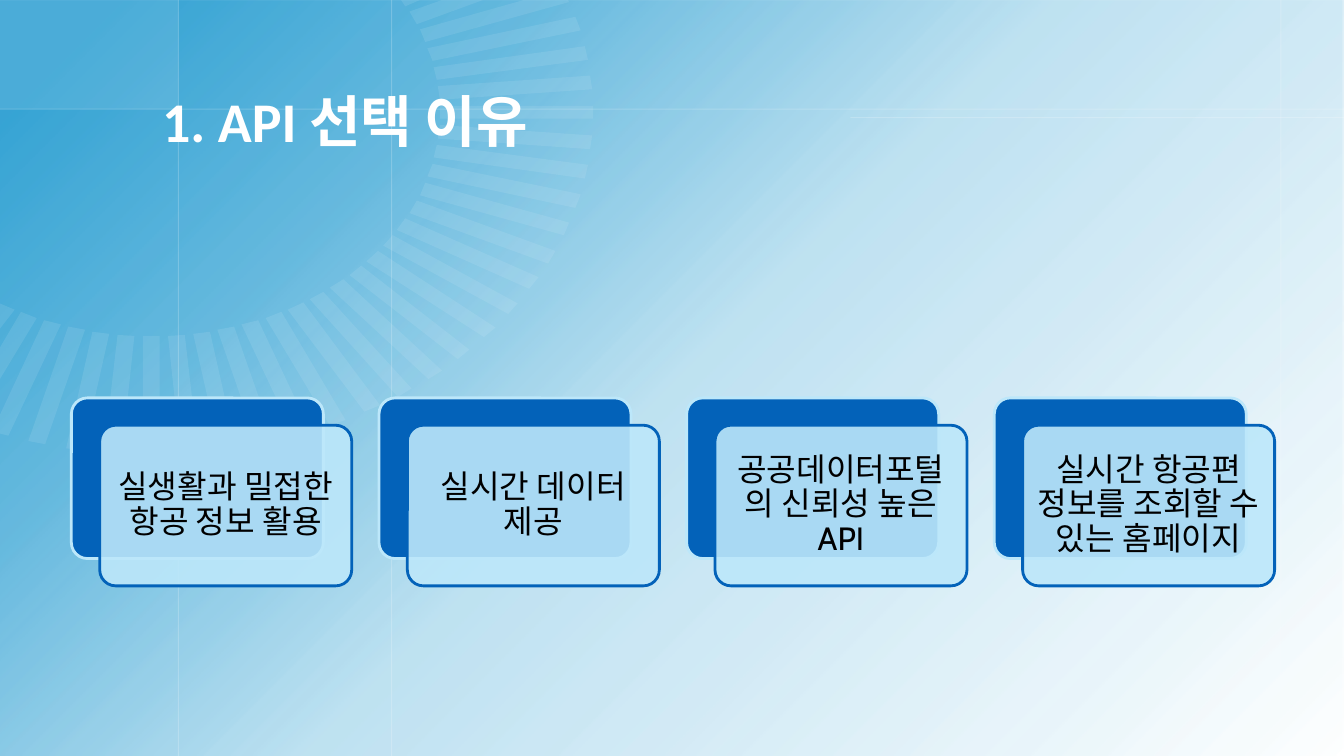
from math import cos, radians, sin

from lxml.etree import SubElement
from pptx import Presentation
from pptx.dml.color import RGBColor
from pptx.enum.shapes import MSO_CONNECTOR, MSO_SHAPE
from pptx.enum.text import MSO_ANCHOR, PP_ALIGN
from pptx.oxml.ns import qn
from pptx.util import Pt

PX = 9525
WIDTH, HEIGHT = 1280, 720
WHITE = RGBColor(0xFF, 0xFF, 0xFF)
BLACK = RGBColor(0x00, 0x00, 0x00)
SKY = RGBColor(0x0F, 0x92, 0xCC)
RAY = RGBColor(0xF2, 0xFA, 0xFE)
BLUE = RGBColor(0x03, 0x62, 0xB9)
PALE = RGBColor(0xBC, 0xE7, 0xFA)

SKY_STOPS = [(6, 83), (26, 63), (50, 27), (100, 0)]
GUIDES = [
    (170, 0, 170, HEIGHT),
    (1220, 0, 1220, HEIGHT),
    (373, 0, 373, HEIGHT),
    (0, 104, WIDTH, 104),
    (810, 112, WIDTH, 112),
]
SUN_X, SUN_Y = 144, 107
SUN_RADIUS_X, SUN_RADIUS_Y = 275, 213
RAY_END, RAY_HALF = 1.53, 0.03
REASONS = [
    "실생활과 밀접한 항공 정보 활용",
    "실시간 데이터 제공",
    "공공데이터포털의 신뢰성 높은 API",
    "실시간 항공편 정보를 조회할 수 있는 홈페이지",
]
CARD_LEFT, CARD_TOP, CARD_STEP = 68, 379, 293
CARD_WIDTH, CARD_HEIGHT = 240, 153
SHIFT_X, SHIFT_Y = 27, 26


def clip(corners, axis):
    """Cut a polygon where its coordinate on the axis falls below zero."""
    kept = []
    for start, end in zip(corners, corners[1:] + corners[:1]):
        if start[axis] >= 0:
            kept.append(start)
        if (start[axis] >= 0) != (end[axis] >= 0):
            share = start[axis] / (start[axis] - end[axis])
            kept.append(tuple(a + share * (b - a) for a, b in zip(start, end)))
    return kept


def ray_corners(degrees):
    """Return the visible corners of one ray of the stretched sun."""
    across, down = cos(radians(degrees)), sin(radians(degrees))
    corners = [
        (
            SUN_X + SUN_RADIUS_X * (reach * across - side * down),
            SUN_Y + SUN_RADIUS_Y * (reach * down + side * across),
        )
        for reach, side in [
            (1, -RAY_HALF), (RAY_END, -RAY_HALF), (RAY_END, RAY_HALF), (1, RAY_HALF)
        ]
    ]
    return clip(clip(corners, 0), 1)


class SlideBuilder:
    """Draw the elements of the slide in one shared style."""

    def __init__(self, slide):
        """Keep the current slide."""
        self.slide = slide

    def fade(self, element, opacity):
        """Set the opacity percentage of the first colour of an element."""
        color = element._element.xpath("./p:spPr//a:srgbClr")[0]
        SubElement(color, qn("a:alpha"), val=str(opacity * 1000))

    def paint(self, shape, color, opacity=100):
        """Give a shape a flat fill without line or shadow."""
        shape.shadow.inherit = False
        shape.fill.solid()
        shape.fill.fore_color.rgb = color
        shape.line.fill.background()
        if opacity < 100:
            self.fade(shape, opacity)

    def block(self, left, top, width, height, color, opacity=100,
              kind=MSO_SHAPE.RECTANGLE):
        """Add a flat preset shape."""
        shape = self.slide.shapes.add_shape(
            kind, left * PX, top * PX, width * PX, height * PX)
        self.paint(shape, color, opacity)
        return shape

    def sky(self):
        """Cover the slide with the diagonal gradient."""
        backdrop = self.block(0, 0, WIDTH, HEIGHT, SKY)
        backdrop.fill.gradient()
        backdrop.fill.gradient_angle = 315
        stops = backdrop._element.xpath("./p:spPr/a:gradFill/a:gsLst")[0]
        stops.clear()
        for position, opacity in SKY_STOPS:
            stop = SubElement(stops, qn("a:gs"), pos=str(position * 1000))
            color = SubElement(stop, qn("a:srgbClr"), val=str(SKY))
            SubElement(color, qn("a:alpha"), val=str(opacity * 1000))

    def guide(self, *ends):
        """Add a thin translucent line."""
        guide = self.slide.shapes.add_connector(
            MSO_CONNECTOR.STRAIGHT, *(end * PX for end in ends))
        guide.line.color.rgb = WHITE
        guide.line.width = Pt(0.75)
        self.fade(guide, 20)
        SubElement(guide._element.spPr, qn("a:effectLst"))

    def ray(self, degrees):
        """Add one translucent ray of the sun."""
        first, *others = ray_corners(degrees)
        outline = self.slide.shapes.build_freeform(*first, scale=PX)
        outline.add_line_segments(others, close=True)
        self.paint(outline.convert_to_shape(), RAY, 10)

    def label(self, frame, text, font_name, size, color, bold=False):
        """Fill a text frame with one vertically centred paragraph."""
        frame.word_wrap = True
        frame.vertical_anchor = MSO_ANCHOR.MIDDLE
        paragraph = frame.paragraphs[0]
        paragraph.text = text
        paragraph.line_spacing = 0.9
        paragraph.font.name = font_name
        paragraph.font.size = Pt(size)
        paragraph.font.bold = bold
        paragraph.font.color.rgb = color
        return paragraph

    def title(self, left, top, width, height, text):
        """Add the slide title."""
        box = self.slide.shapes.add_textbox(
            left * PX, top * PX, width * PX, height * PX)
        self.label(box.text_frame, text, "Calibri", 40, WHITE, bold=True)

    def panel(self, left, top, color, edge, opacity=100):
        """Add an outlined rounded panel."""
        panel = self.block(left, top, CARD_WIDTH, CARD_HEIGHT, color, opacity,
                           MSO_SHAPE.ROUNDED_RECTANGLE)
        panel.adjustments[0] = 0.1
        panel.line.color.rgb = edge
        panel.line.width = Pt(2)
        return panel

    def card(self, left, top, text):
        """Add a dark panel and the shifted pale panel with a reason."""
        self.panel(left, top, BLUE, PALE)
        front = self.panel(left + SHIFT_X, top + SHIFT_Y, PALE, BLUE, 90)
        frame = front.text_frame
        frame.margin_left = frame.margin_right = 9 * PX
        frame.margin_top = frame.margin_bottom = 9 * PX
        reason = self.label(frame, text, "Cabin", 23, BLACK)
        reason.alignment = PP_ALIGN.CENTER


def main():
    """Build and save the slide."""
    deck = Presentation()
    deck.slide_width, deck.slide_height = WIDTH * PX, HEIGHT * PX
    builder = SlideBuilder(deck.slides.add_slide(deck.slide_layouts[6]))
    builder.sky()
    builder.block(0, 0, 170, 104, WHITE, 10)
    for ends in GUIDES:
        builder.guide(*ends)
    for degrees in range(-30, 121, 5):
        builder.ray(degrees)
    builder.title(145, 36, 1020, 165, "1. API 선택 이유")
    for index, reason in enumerate(REASONS):
        builder.card(CARD_LEFT + index * CARD_STEP, CARD_TOP, reason)
    deck.save("out.pptx")


if __name__ == "__main__":
    main()
